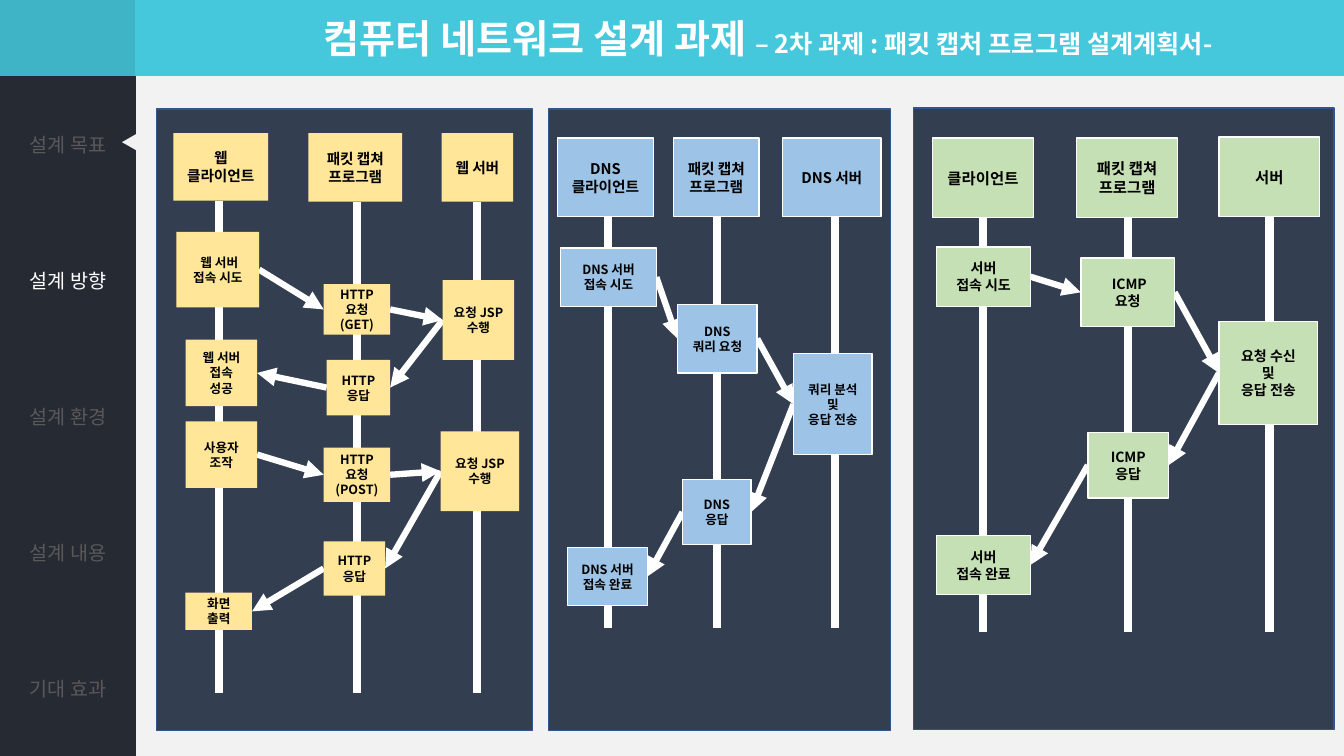
from lxml.etree import SubElement
from pptx import Presentation
from pptx.dml.color import RGBColor
from pptx.enum.shapes import MSO_CONNECTOR, MSO_SHAPE
from pptx.enum.text import MSO_ANCHOR, PP_ALIGN
from pptx.oxml.ns import qn
from pptx.util import Pt

PX = 9144  # 100 px to the inch
FONT = "Noto Sans CJK KR"
NO_STYLE = "{2D5ABB26-0587-4C30-8999-92F81FD0307C}"
LEFT_SITE, RIGHT_SITE = 1, 3
COLORS = {
    "band": "45C8DC", "corner": "3EB4C6", "page": "F2F2F2", "menu": "262A33",
    "muted": "595959", "white": "FFFFFF", "black": "000000",
    "panel": "333F50", "edge": "325491",
    "yellow": "FFE699", "blue": "9DC3E6", "green": "C5E0B4",
}

TITLE = [("컴퓨터 네트워크 설계 과제 ", 28), ("– 2차 과제 : 패킷 캡처 프로그램 설계계획서-", 18)]
MENU = ["설계 목표", "설계 방향", "설계 환경", "설계 내용", "기대 효과"]
CURRENT = "설계 방향"

# Each lane: centre of its lifeline, then header and steps as key: (text, bounds).
# Arrows run from key to key.
PANELS = [
    dict(at=(155, 108, 373, 617), fill="yellow", line=None, head_size=10.5, size=9, end=688,
         lanes=[
             (217, {"client": ("웹\n클라이언트", (172, 132, 94, 67)),
                    "try": (" 웹 서버\n접속 시도", (175, 230, 82, 75)),
                    "success": ("웹 서버\n접속\n성공", (184, 337, 71, 66)),
                    "action": ("사용자 조작", (184, 418, 71, 66)),
                    "screen": ("화면\n출력", (184, 588, 66, 37))}),
             (354, {"capture": ("패킷 캡쳐\n프로그램", (306, 132, 93, 68)),
                    "get": ("HTTP 요청 (GET)", (321, 282, 66, 50)),
                    "reply 1": ("HTTP 응답", (324, 357, 63, 55)),
                    "post": ("HTTP 요청 (POST)", (321, 444, 66, 54)),
                    "reply 2": ("HTTP 응답", (321, 537, 61, 54))}),
             (473, {"server": ("웹 서버", (438, 132, 71, 68)),
                    "run 1": ("요청 JSP 수행", (439, 278, 71, 79)),
                    "run 2": ("요청 JSP\n수행", (437, 428, 78, 79))}),
         ],
         arrows=[("try", "get"), ("get", "run 1"), ("run 1", "reply 1"), ("reply 1", "success"),
                 ("action", "post"), ("post", "run 2"), ("run 2", "reply 2"),
                 ("reply 2", "screen")]),
    dict(at=(544, 108, 339, 617), fill="blue", line="white", head_size=10.5, size=9, end=623,
         lanes=[
             (603, {"client": ("DNS\n클라이언트", (553, 137, 95, 78)),
                    "try": ("DNS 서버\n접속 시도", (556, 246, 95, 58)),
                    "done": ("DNS 서버\n접속 완료", (563, 543, 79, 58))}),
             (711, {"capture": ("패킷 캡쳐\n프로그램", (668, 137, 85, 78)),
                    "query": ("DNS\n쿼리 요청", (672, 302, 79, 68)),
                    "reply": ("DNS\n응답", (677, 476, 68, 64))}),
             (828, {"server": ("DNS 서버", (776, 137, 98, 78)),
                    "answer": ("쿼리 분석 및\n응답 전송", (787, 351, 78, 100))}),
         ],
         arrows=[("try", "query"), ("query", "answer"), ("answer", "reply"), ("reply", "done")]),
    dict(at=(906, 107, 417, 617), fill="green", line="white", head_size=11, size=10, end=627,
         lanes=[
             (975, {"client": ("클라이언트", (925, 137, 100, 79)),
                    "try": ("서버\n접속 시도", (929, 245, 93, 59)),
                    "done": ("서버\n접속 완료", (929, 531, 93, 59))}),
             (1119, {"capture": ("패킷 캡쳐\n프로그램", (1068, 137, 100, 79)),
                     "request": (" ICMP\n요청", (1072, 256, 93, 68)),
                     "reply": ("ICMP\n응답", (1079, 429, 80, 65))}),
             (1259, {"server": ("서버", (1209, 136, 100, 79)),
                     "answer": ("요청 수신\n및\n응답 전송", (1209, 319, 98, 102))}),
         ],
         arrows=[("try", "request"), ("request", "answer"), ("answer", "reply"),
                 ("reply", "done")]),
]


def color(name):
    return RGBColor.from_string(COLORS[name])


def emu(lengths):
    return [length * PX for length in lengths]


def add_span(para, text, size, ink, bold=False):
    span = para.add_run()
    span.text = text
    span.font.size = Pt(size)
    span.font.bold = bold
    span.font.color.rgb = color(ink)
    span.font.name = FONT
    SubElement(span.font._element, qn("a:ea")).set("typeface", FONT)


def write(frame, text, **style):
    """Fill a frame with centred paragraphs, one for each line of text."""
    frame.word_wrap = True
    for index, line in enumerate(text.split("\n")):
        para = frame.add_paragraph() if index else frame.paragraphs[0]
        para.alignment = PP_ALIGN.CENTER
        add_span(para, line, **style)


def add_box(at, fill, line=None, kind=MSO_SHAPE.RECTANGLE):
    box = page.shapes.add_shape(kind, *emu(at))
    box.shadow.inherit = False
    box.fill.solid()
    box.fill.fore_color.rgb = color(fill)
    if line:
        box.line.color.rgb = color(line)
        box.line.width = Pt(1)
    else:
        box.line.fill.background()
    return box


def add_line(ends, width):
    line = page.shapes.add_connector(MSO_CONNECTOR.STRAIGHT, *emu(ends))
    line.line.color.rgb = color("white")
    line.line.width = Pt(width)
    SubElement(line._element.spPr, qn("a:effectLst"))
    return line


def add_arrow(source, target):
    """Join the facing sides of two boxes."""
    arrow = add_line((0, 0, 0, 0), width=4.5)
    rightward = source.left < target.left
    arrow.begin_connect(source, RIGHT_SITE if rightward else LEFT_SITE)
    arrow.end_connect(target, LEFT_SITE if rightward else RIGHT_SITE)
    SubElement(arrow.line._get_or_add_ln(), qn("a:tailEnd")).set("type", "triangle")
    return arrow


def add_panel(at, fill, line, head_size, size, end, lanes, arrows):
    panel = add_box(at, "panel", "edge")
    boxes = {}
    for center, steps in lanes:
        head_top, head_height = next(iter(steps.values()))[1][1::2]
        add_line((center, head_top + head_height, center, end), width=6)
        for index, (key, (text, bounds)) in enumerate(steps.items()):
            boxes[key] = add_box(bounds, fill, line)
            boxes[key].text_frame.vertical_anchor = MSO_ANCHOR.MIDDLE
            write(boxes[key].text_frame, text, size=size if index else head_size,
                  ink="black", bold=True)
    for source, target in arrows:
        arrow = add_arrow(boxes[source], boxes[target])
        panel._element.addnext(arrow._element)  # behind the boxes


def add_menu():
    table = page.shapes.add_table(len(MENU), 1, *emu((0, 75, 135, 675))).table
    table.first_row = table.horz_banding = False
    table._tbl.tblPr.find(qn("a:tableStyleId")).text = NO_STYLE
    for index, label in enumerate(MENU):
        cell = table.cell(index, 0)
        cell.fill.solid()
        cell.fill.fore_color.rgb = color("menu")
        cell.vertical_anchor = MSO_ANCHOR.MIDDLE
        write(cell.text_frame, label, size=14, ink="white" if label == CURRENT else "muted")


def add_title():
    box = page.shapes.add_textbox(*emu((311, 9, 1010, 57)))
    box.text_frame.word_wrap = True
    box.text_frame.vertical_anchor = MSO_ANCHOR.MIDDLE
    for text, size in TITLE:
        add_span(box.text_frame.paragraphs[0], text, size, "white", bold=True)


def paint_background():
    """Set a hard colour change one tenth of the way down the page."""
    fill = page.background.fill
    fill.gradient()
    fill.gradient_angle = 270
    for stop, name in zip(fill.gradient_stops, ("band", "page")):
        stop.position = 0.1
        stop.color.rgb = color(name)


deck = Presentation()
deck.slide_width, deck.slide_height = emu((1333, 750))
page = deck.slides.add_slide(deck.slide_layouts[6])
paint_background()
add_title()
add_box((0, 0, 134, 76), "corner")
add_menu()
pointer = add_box((120, 134, 16, 14), "page", kind=MSO_SHAPE.ISOSCELES_TRIANGLE)
pointer.rotation = 270
for content in PANELS:
    add_panel(**content)
deck.save("out.pptx")
